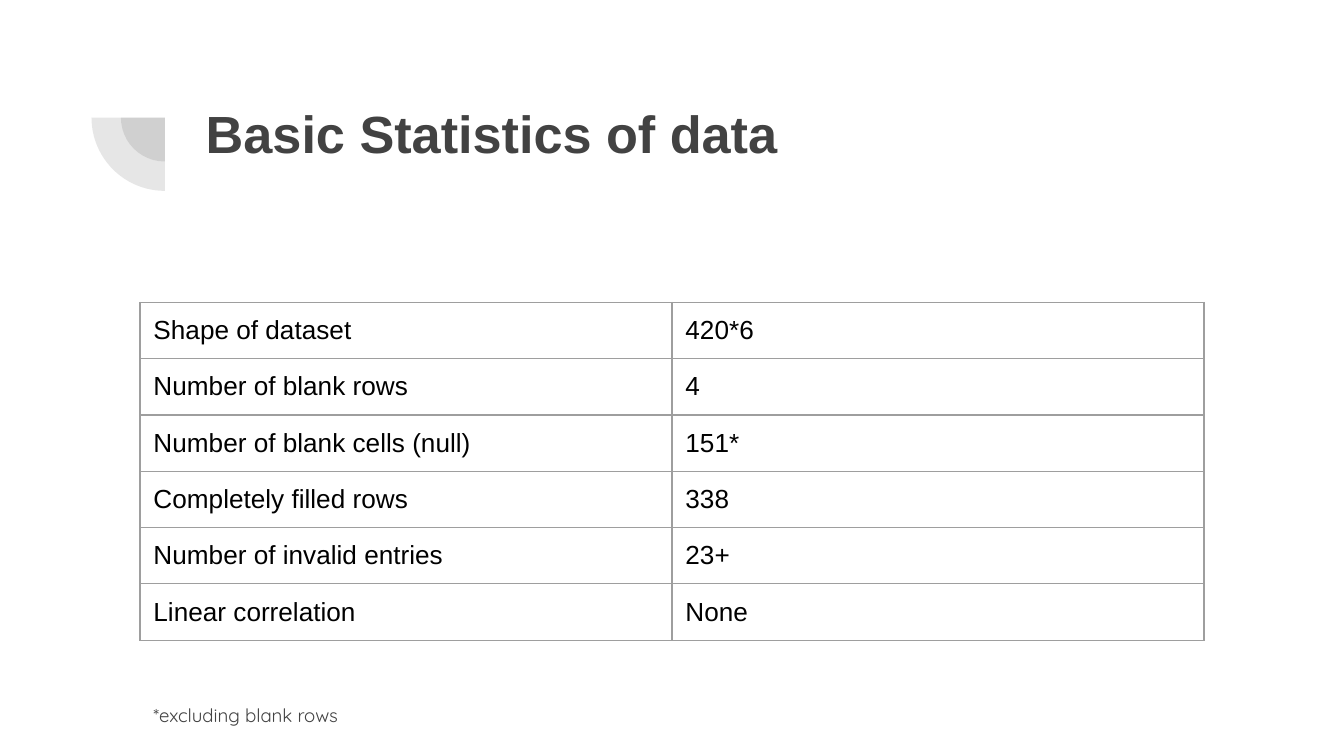
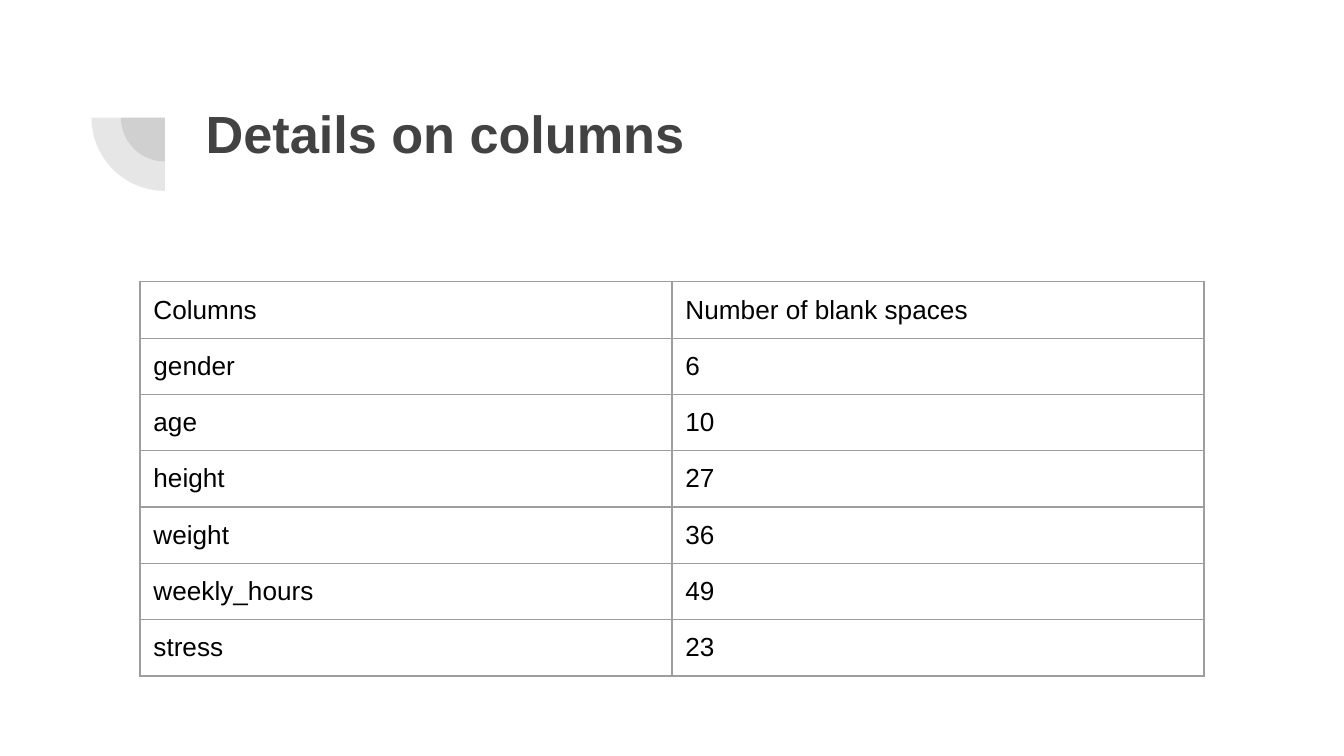
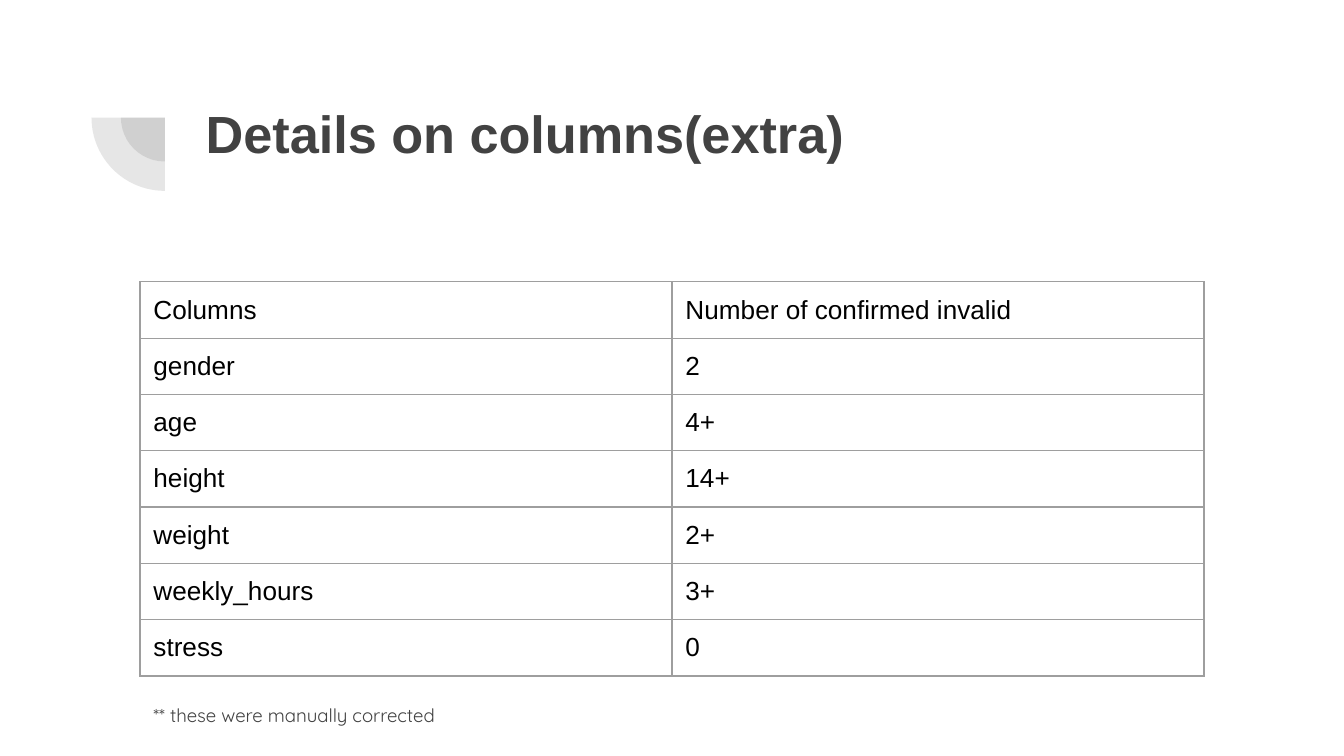
"""Builds three slides of dataset statistics, each with a title, a table and an optional note."""
from lxml.etree import SubElement as Sub
from pptx import Presentation
from pptx.dml.color import RGBColor
from pptx.enum.shapes import MSO_SHAPE as Kind
from pptx.enum.text import MSO_ANCHOR as Anchor, MSO_AUTO_SIZE as Auto, PP_ALIGN as Align
from pptx.oxml.ns import qn
from pptx.util import Pt

DARK, BLACK, GREY = "424242", "000000", "9E9E9E"
FIELDS = ["Columns", "gender", "age", "height", "weight", "weekly_hours", "stress"]
BLANKS = ["Number of blank spaces", "6", "10", "27", "36", "49", "23"]
WRONG = ["Number of confirmed invalid", "2", "4+", "14+", "2+", "3+", "0"]
STATS = [
    ("Shape of dataset", "420*6"),
    ("Number of blank rows", "4"),
    ("Number of blank cells (null)", "151*"),
    ("Completely filled rows", "338"),
    ("Number of invalid entries", "23+"),
    ("Linear correlation", "None"),
]
PAGES = [
    ("Basic Statistics of data", 162, STATS, "*excluding blank rows"),
    ("Details on columns", 151, list(zip(FIELDS, BLANKS)), None),
    ("Details on columns(extra)", 151, list(zip(FIELDS, WRONG)), "** these were manually corrected"),
]
LEFT, COL, ROW, PAD = 75, 285, 30, 7.2


def style(para, face, size, tone, bold=False):
    """Set the font and left alignment of one paragraph."""
    para.alignment = Align.LEFT
    font = para.font
    font.name, font.size, font.bold = face, Pt(size), bold
    font.color.rgb = RGBColor.from_string(tone)


def fill_box(box, text, x, y, w, h):
    """Place a placeholder, write its text and return the paragraph."""
    box.left, box.top, box.width, box.height = Pt(x), Pt(y), Pt(w), Pt(h)
    frame = box.text_frame
    frame.text = text
    frame.word_wrap, frame.auto_size = True, Auto.NONE
    frame.vertical_anchor = Anchor.TOP
    frame.margin_left = frame.margin_right = Pt(PAD)
    frame.margin_top = frame.margin_bottom = Pt(PAD)
    return frame.paragraphs[0]


deck = Presentation()
deck.slide_width, deck.slide_height = Pt(720), Pt(405)

for title, top, rows, note in PAGES:
    slide = deck.slides.add_slide(deck.slide_layouts[1 if note else 5])

    for size in (47, 78.5):
        pie = slide.shapes.add_shape(
            Kind.PIE, Pt(88.3 - size / 2), Pt(63 - size / 2), Pt(size), Pt(size))
        pie.adjustments[0], pie.adjustments[1] = 108, 162
        pie.rotation = 270
        pie.shadow.inherit = False
        pie.line.fill.background()
        pie.fill.solid()
        pie.fill.fore_color.rgb = RGBColor.from_string(DARK)
        tone = pie.fill._xPr.find(".//" + qn("a:srgbClr"))
        Sub(tone, qn("a:alpha"), val="13000")

    head = fill_box(slide.shapes.title, title, 103, 46.8, 553.7, 78.5)
    style(head, "Arial", 28, DARK, True)

    if note:
        para = fill_box(slide.placeholders[1], note, LEFT, 368, 610, 37)
        style(para, "Quicksand", 10, DARK)
        para.line_spacing, para.space_before, para.space_after = 1.15, Pt(0), Pt(12)
        props = para._p.get_or_add_pPr()
        props.set("marL", "0")
        props.set("indent", "0")
        Sub(props, qn("a:buNone"))

    grid = slide.shapes.add_table(
        len(rows), 2, Pt(LEFT), Pt(top), Pt(2 * COL), Pt(ROW * len(rows))).table
    grid.first_row = grid.horz_banding = False
    for r, row in enumerate(rows):
        for c, text in enumerate(row):
            cell = grid.cell(r, c)
            cell.text = text
            cell.margin_left = cell.margin_right = Pt(PAD)
            cell.margin_top = cell.margin_bottom = Pt(PAD)
            style(cell.text_frame.paragraphs[0], "Arial", 14, BLACK)
            props = cell._tc.get_or_add_tcPr()
            for side in ("lnL", "lnR", "lnT", "lnB"):
                edge = Sub(props, qn("a:" + side), w=str(Pt(0.75)))
                Sub(Sub(edge, qn("a:solidFill")), qn("a:srgbClr"), val=GREY)
            cell.fill.background()

deck.save("out.pptx")
